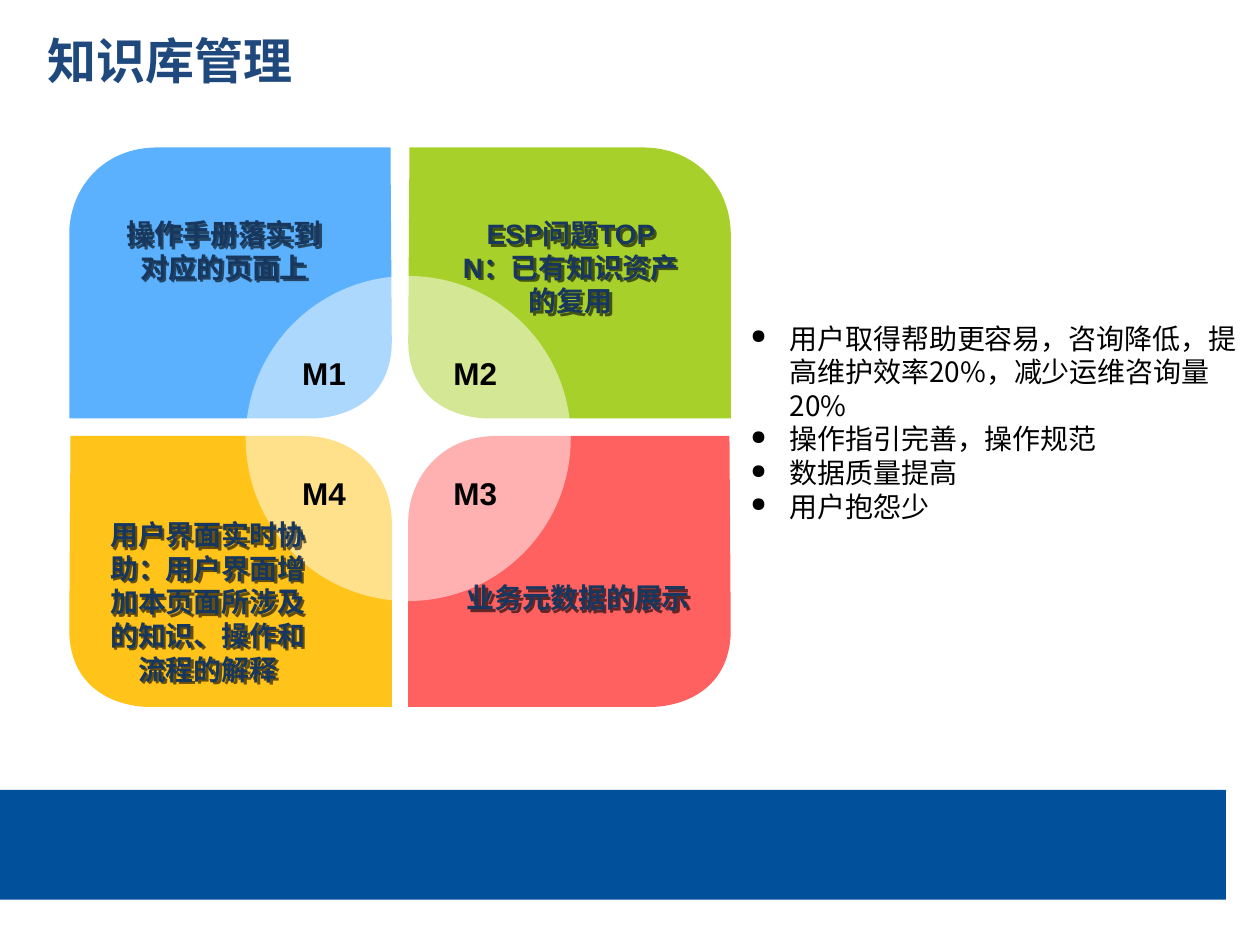
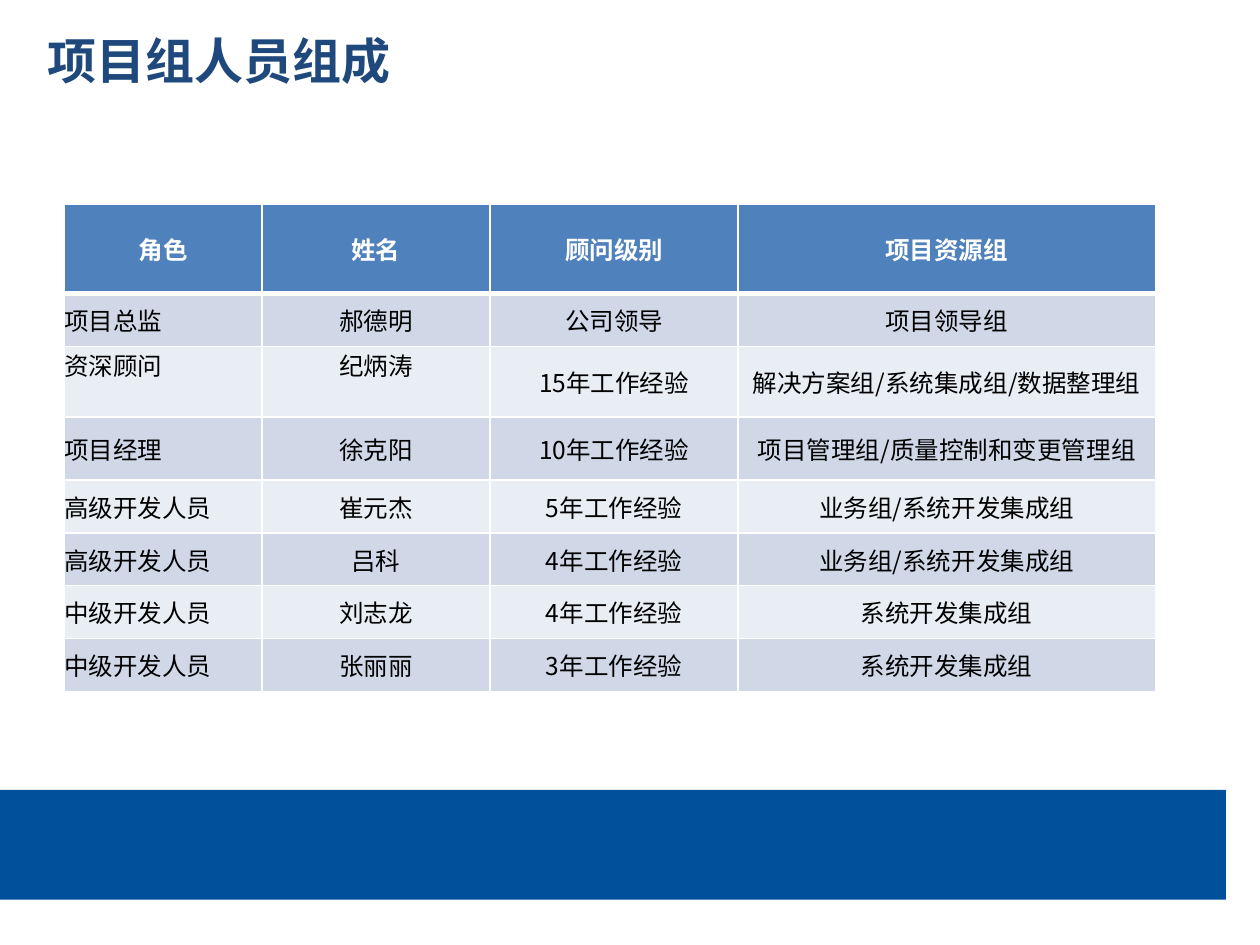
"""Build two slides: knowledge base management and the project team."""
from dataclasses import dataclass

from lxml import etree
from pptx import Presentation
from pptx.dml.color import RGBColor
from pptx.enum.shapes import MSO_SHAPE
from pptx.enum.text import MSO_ANCHOR, PP_ALIGN
from pptx.oxml.ns import qn
from pptx.util import Inches, Pt

RECTANGLE, OVAL = MSO_SHAPE.RECTANGLE, MSO_SHAPE.OVAL
TOP, MIDDLE = MSO_ANCHOR.TOP, MSO_ANCHOR.MIDDLE
LEFT, CENTER = PP_ALIGN.LEFT, PP_ALIGN.CENTER


@dataclass(frozen=True)
class Theme:
    title: str = "1F497D"
    band: str = "00509B"
    label: str = "17375E"
    black: str = "000000"
    white: str = "FFFFFF"
    header: str = "4F81BD"
    stripes: tuple = ("D0D8E8", "E9EDF4")
    latin: str = "Arial"
    chinese: str = "Noto Sans CJK SC"
    title_size: int = 28
    mark_size: int = 18
    body_size: int = 16
    table_size: int = 14
    leading: float = 1.2


THEME = Theme()

KNOWLEDGE_TITLE = "知识库管理"
PETALS = [
    {"row": 0, "column": 0, "fill": "5CB1FE", "mark": "M1",
     "text": "操作手册落实到对应的页面上", "place": (0.8, 1.67, 1.96, 0.64)},
    {"row": 0, "column": 1, "fill": "A8D02A", "mark": "M2",
     "text": "ESP问题TOP N：已有知识资产的复用", "place": (3.55, 1.67, 1.96, 0.91)},
    {"row": 1, "column": 0, "fill": "FFC319", "mark": "M4",
     "text": "用户界面实时协助：用户界面增加本页面所涉及的知识、操作和流程的解释",
     "place": (0.67, 4.06, 1.96, 1.45)},
    {"row": 1, "column": 1, "fill": "FF6161", "mark": "M3",
     "text": "业务元数据的展示", "place": (3.55, 4.56, 2.08, 0.37)},
]
BENEFITS = [
    "用户取得帮助更容易，咨询降低，提高维护效率20%，减少运维咨询量20%",
    "操作指引完善，操作规范",
    "数据质量提高",
    "用户抱怨少",
]

TEAM_TITLE = "项目组人员组成"
TEAM = [
    ("角色", "姓名", "顾问级别", "项目资源组"),
    ("项目总监", "郝德明", "公司领导", "项目领导组"),
    ("资深顾问", "纪炳涛", "15年工作经验", "解决方案组/系统集成组/数据整理组"),
    ("项目经理", "徐克阳", "10年工作经验", "项目管理组/质量控制和变更管理组"),
    ("高级开发人员", "崔元杰", "5年工作经验", "业务组/系统开发集成组"),
    ("高级开发人员", "吕科", "4年工作经验", "业务组/系统开发集成组"),
    ("中级开发人员", "刘志龙", "4年工作经验", "系统开发集成组"),
    ("中级开发人员", "张丽丽", "3年工作经验", "系统开发集成组"),
]
COLUMN_WIDTHS = (1.57, 1.81, 1.97, 3.31)
ROW_HEIGHTS = (0.71, 0.42, 0.56, 0.5, 0.42, 0.42, 0.42, 0.42)
TOP_ALIGNED_CELLS = {(2, 0), (2, 1)}

PETAL_WIDTH, PETAL_LEFT, PETAL_TOP = 2.56, 0.55, 1.17
PETAL_STEP = (2.69, 2.29)
PETAL_OUTLINE = [
    (0, 2.15), (0, 0.67), (0.01, 0.32), (0.27, 0), (0.7, 0),
    (2.55, 0), (2.56, 1.54), (2.56, 1.95), (2.27, 2.13), (1.96, 2.15),
]
CURVE_STARTS = (1, 6)


def set_values(target, values):
    for name, value in values.items():
        setattr(target, name, value)


def place_in_inches(place):
    return [Inches(length) for length in place]


def add_span(para, text, size, color, bold=False, latin=THEME.chinese):
    span = para.add_run()
    span.text = text
    set_values(span.font, {"size": Pt(size), "bold": bold, "name": latin})
    span.font.color.rgb = RGBColor.from_string(color)
    east_asian = etree.Element(qn("a:ea"), typeface=THEME.chinese)
    span.font._element.find(qn("a:latin")).addnext(east_asian)


def add_text(page, place, lines, size, color, align=LEFT, wrap=True, **style):
    box = page.shapes.add_textbox(*place_in_inches(place))
    set_values(box.text_frame, {"word_wrap": wrap, "vertical_anchor": TOP})
    for index, line in enumerate(lines):
        para = box.text_frame.paragraphs[0] if index == 0 else box.text_frame.add_paragraph()
        set_values(para, {"alignment": align, "line_spacing": Pt(size * THEME.leading)})
        add_span(para, line, size, color, **style)
    return box


def add_shadow(box):
    effects = etree.SubElement(box._element.spPr, qn("a:effectLst"))
    shadow = etree.SubElement(effects, qn("a:outerShdw"), dist=str(Pt(2)), dir="2700000")
    color = etree.SubElement(shadow, qn("a:srgbClr"), val=THEME.black)
    etree.SubElement(color, qn("a:alpha"), val="60000")


def add_bullet(para):
    properties = para._p.get_or_add_pPr()
    properties.set("marL", str(Inches(0.31)))
    properties.set("indent", str(-Inches(0.31)))
    etree.SubElement(properties, qn("a:buSzPct"), val="72000")
    etree.SubElement(properties, qn("a:buChar"), char="●")


def paint(shape, color):
    shape.shadow.inherit = False
    shape.fill.solid()
    shape.fill.fore_color.rgb = RGBColor.from_string(color)
    shape.line.fill.background()


def add_page(deck, title):
    page = deck.slides.add_slide(deck.slide_layouts[6])
    add_text(page, (0.28, 0.19, 8.7, 0.78), [title], THEME.title_size, THEME.title, bold=True)
    return page


def add_shared_band(page):
    band = page.shapes.add_shape(RECTANGLE, *place_in_inches((0, 6.27, 9.73, 0.87)))
    paint(band, THEME.band)
    page.slide_layout.shapes._spTree.append(band._element)


def bend_corners(petal):
    segments = list(petal._element.iter(qn("a:lnTo")))
    for start in CURVE_STARTS:
        group = segments[start:start + 3]
        curve = etree.Element(qn("a:cubicBezTo"))
        group[0].addprevious(curve)
        for segment in group:
            curve.append(segment[0])
            segment.getparent().remove(segment)


def add_petal(page, row, column, fill):
    mirrored = (row + column) % 2
    left, top = PETAL_LEFT + column * PETAL_STEP[0], PETAL_TOP + row * PETAL_STEP[1]
    points = [(Inches(left + (PETAL_WIDTH - x if mirrored else x)), Inches(top + y))
              for x, y in PETAL_OUTLINE]
    builder = page.shapes.build_freeform(*points[0])
    builder.add_line_segments(points[1:], close=True)
    petal = builder.convert_to_shape()
    bend_corners(petal)
    paint(petal, fill)


def build_knowledge_page(deck):
    page = add_page(deck, KNOWLEDGE_TITLE)
    add_shared_band(page)
    for petal in PETALS:
        add_petal(page, petal["row"], petal["column"], petal["fill"])
    circle = page.shapes.add_shape(OVAL, *place_in_inches((1.95, 2.19, 2.58, 2.58)))
    paint(circle, THEME.white)
    color = circle._element.spPr.find(qn("a:solidFill"))[0]
    etree.SubElement(color, qn("a:alpha"), val="50000")
    for petal in PETALS:
        label = add_text(page, petal["place"], [petal["text"]], THEME.body_size, THEME.label,
                         align=CENTER, bold=True, latin=THEME.latin)
        add_shadow(label)
    for petal in PETALS:
        place = (2.3 + 1.2 * petal["column"], 2.76 + 0.95 * petal["row"], 0.55, 0.4)
        add_text(page, place, [petal["mark"]], THEME.mark_size, THEME.black,
                 wrap=False, bold=True, latin=THEME.latin)
    benefits = add_text(page, (5.86, 2.5, 4.14, 1.72), BENEFITS, THEME.body_size, THEME.black)
    for para in benefits.text_frame.paragraphs:
        add_bullet(para)


def add_borders(cell, widths):
    properties = cell._tc.get_or_add_tcPr()
    for side, width in widths.items():
        line = etree.SubElement(properties, qn(f"a:ln{side}"), w=str(Pt(width)))
        fill = etree.SubElement(line, qn("a:solidFill"))
        etree.SubElement(fill, qn("a:srgbClr"), val=THEME.white)


def build_team_page(deck):
    page = add_page(deck, TEAM_TITLE)
    place = (0.51, 1.62, sum(COLUMN_WIDTHS), sum(ROW_HEIGHTS))
    table = page.shapes.add_table(len(TEAM), len(COLUMN_WIDTHS), *place_in_inches(place)).table
    for column, width in zip(table.columns, COLUMN_WIDTHS):
        column.width = Inches(width)
    for row, height in zip(table.rows, ROW_HEIGHTS):
        row.height = Inches(height)
    for r, member in enumerate(TEAM):
        header = r == 0
        for c, text in enumerate(member):
            cell = table.cell(r, c)
            add_borders(cell, {"L": 1, "R": 1, "T": 3 if r == 1 else 1, "B": 3 if header else 1})
            set_values(cell, {
                "margin_left": 0, "margin_right": 0, "margin_top": 0, "margin_bottom": 0,
                "vertical_anchor": TOP if (r, c) in TOP_ALIGNED_CELLS else MIDDLE,
            })
            cell.fill.solid()
            fill = THEME.header if header else THEME.stripes[(r - 1) % 2]
            cell.fill.fore_color.rgb = RGBColor.from_string(fill)
            para = cell.text_frame.paragraphs[0]
            para.alignment = CENTER if header or c else LEFT
            add_span(para, text, THEME.table_size, THEME.white if header else THEME.black, header)


def main():
    deck = Presentation()
    set_values(deck, {"slide_width": Inches(10), "slide_height": Inches(7.5)})
    build_knowledge_page(deck)
    build_team_page(deck)
    deck.save("out.pptx")


if __name__ == "__main__":
    main()
